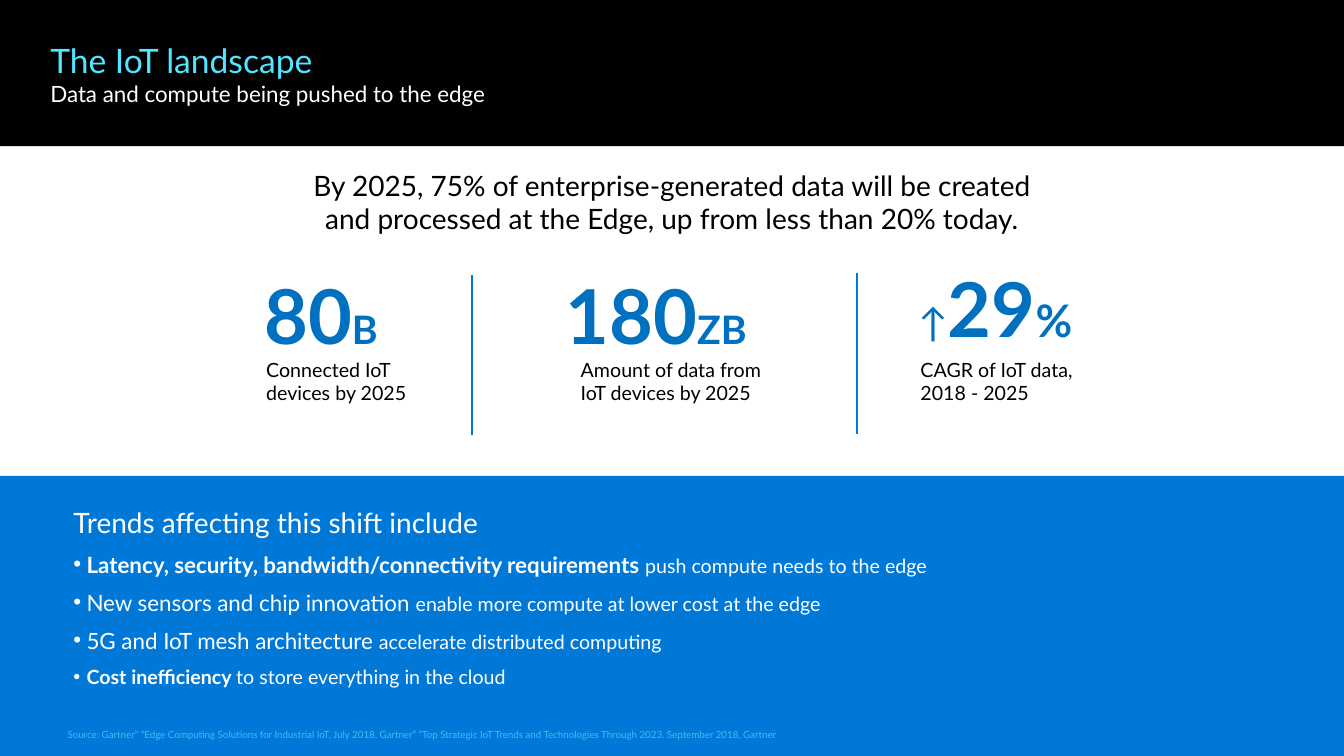
from lxml import etree
from pptx import Presentation
from pptx.dml.color import RGBColor
from pptx.enum.shapes import MSO_CONNECTOR, MSO_SHAPE
from pptx.enum.text import PP_ALIGN
from pptx.oxml.ns import qn
from pptx.util import Pt

RECTANGLE = MSO_SHAPE.RECTANGLE
STRAIGHT = MSO_CONNECTOR.STRAIGHT
LEFT = PP_ALIGN.LEFT
CENTER = PP_ALIGN.CENTER

PX = 9144
WIDTH, HEIGHT = 1333, 750
FONT = "Lato"
COLORS = {
    "black": "000000",
    "white": "FFFFFF",
    "blue": "0078D7",
    "figure": "0070C0",
    "cyan": "50E6FF",
    "source": "44BDF3",
}


class SlideBuilder:
    def __init__(self, slide):
        self.shapes = slide.shapes

    def color(self, name):
        return RGBColor.from_string(COLORS[name])

    def band(self, top, height, color):
        band = self.shapes.add_shape(RECTANGLE, 0, top * PX, WIDTH * PX, height * PX)
        band.shadow.inherit = False
        band.fill.solid()
        band.fill.fore_color.rgb = self.color(color)
        band.line.fill.background()

    def divider(self, x, top, bottom):
        divider = self.shapes.add_connector(STRAIGHT, x * PX, top * PX, x * PX, bottom * PX)
        divider.line.color.rgb = self.color("blue")
        divider.line.width = Pt(1)
        etree.SubElement(divider._element.spPr, qn("a:effectLst"))

    def text(self, box, paragraphs, color, inset=(0, 0), align=LEFT):
        frame = self.shapes.add_textbox(*(length * PX for length in box)).text_frame
        frame.word_wrap = True
        frame.margin_left = frame.margin_right = inset[0] * PX
        frame.margin_top = frame.margin_bottom = inset[1] * PX
        for index, parts in enumerate(paragraphs):
            paragraph = frame.add_paragraph() if index else frame.paragraphs[0]
            paragraph.alignment = align
            for words, size, bold in parts:
                run = paragraph.add_run()
                run.text = words
                run.font.name = FONT
                run.font.size = Pt(size)
                run.font.bold = bold
                run.font.color.rgb = self.color(color)
        return frame.paragraphs

    def bullet(self, paragraph, indent, space):
        paragraph.space_before = Pt(space)
        properties = paragraph._p.get_or_add_pPr()
        properties.set("marL", str(indent * PX))
        properties.set("indent", str(-indent * PX))
        etree.SubElement(properties, qn("a:buFont")).set("typeface", "Arial")
        etree.SubElement(properties, qn("a:buChar")).set("char", "•")


FIGURES = [
    ((262, 267, 185, 80), [("80", 54, True), ("B", 28, True)],
     264, 185, "Connected IoT devices by 2025"),
    ((561, 267, 205, 87), [("180", 54, True), ("ZB", 28, True)],
     576, 205, "Amount of data from IoT devices by 2025"),
    ((911, 260, 230, 88), [("↑", 28, False), ("29", 54, True), ("%", 32, True)],
     913, 194, "CAGR of IoT data, 2018 - 2025"),
]

TRENDS = [
    [("Trends affecting this shift include", 20, False)],
    [("Latency, security, bandwidth/connectivity requirements ", 16, True),
     ("push compute needs to the edge", 14, False)],
    [("New sensors and chip innovation ", 16, False),
     ("enable more compute at lower cost at the edge", 14, False)],
    [("5G and IoT mesh architecture ", 16, False),
     ("accelerate distributed computing", 14, False)],
    [("Cost inefficiency ", 14, True),
     ("to store everything in the cloud", 14, False)],
]

STATEMENT = (
    "By 2025, 75% of enterprise-generated data will be created "
    "and processed at the Edge, up from less than 20% today."
)
SOURCE = (
    "Source: Gartner” “Edge Computing Solutions for Industrial IoT, July 2018, "
    "Gartner” “Top Strategic IoT Trends and Technologies Through 2023. "
    "September 2018, Gartner"
)


def main():
    presentation = Presentation()
    presentation.slide_width = WIDTH * PX
    presentation.slide_height = HEIGHT * PX
    page = SlideBuilder(presentation.slides.add_slide(presentation.slide_layouts[6]))

    page.band(0, 145, "black")
    page.text((50, 35, 986, 77), [
        [("The IoT landscape", 24, False)],
    ], "cyan", (0, 5))
    page.text((50, 75, 986, 37), [
        [("Data and compute being pushed to the edge", 16, False)],
    ], "white", (0, 5))

    page.text((281, 162, 771, 76), [[(STATEMENT, 20, False)]], "black", (10, 5), CENTER)
    for box, figure, left, width, caption in FIGURES:
        page.text(box, [figure], "figure")
        page.text((left, 355, width, 80), [[(caption, 14, False)]], "black")
    page.divider(468, 273, 432)
    page.divider(850, 271, 431)

    page.band(472, 278, "blue")
    trends = page.text((63, 497, 905, 174), TRENDS, "white", (10, 5))
    for trend in trends[1:]:
        page.bullet(trend, 13, 8)
    page.text((67, 723, 1126, 24), [[(SOURCE, 7, False)]], "source")

    presentation.save("out.pptx")


if __name__ == "__main__":
    main()
